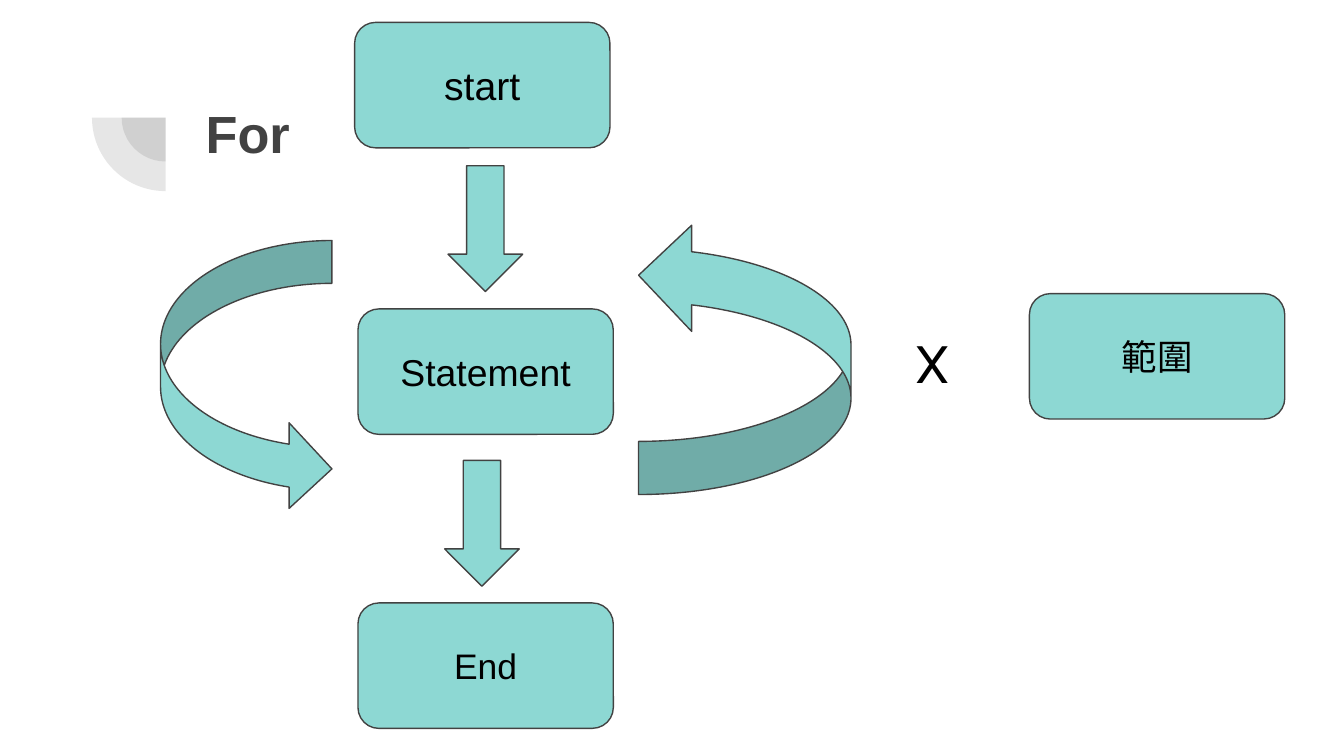
from pptx import Presentation, util as u
from pptx.dml.color import RGBColor
from pptx.enum import shapes, text
from pptx.oxml.ns import qn
from lxml import etree

TEAL = RGBColor(0x8D, 0xD8, 0xD3)
GRAY = RGBColor(0x42, 0x42, 0x42)
BLACK = RGBColor(0, 0, 0)
Pt = u.Pt
KIND = shapes.MSO_SHAPE

TITLE = ("For", (103, 46.8, 553.7, 78.5))
TIMES = ("x", (483.8, 162, 59, 58.3))
BOX_SIZE = (136.8, 67.2)
BOXES = [
    ("start", 190, 12, 21),
    ("範圍", 551.5, 157.3, 19),
    ("Statement", 191.8, 165.5, 20),
    ("End", 191.8, 323, 19),
]
DOWN_SIZE = (40, 67.4)
DOWN_ARROWS = [(238.2, 246.7), (240, 88.8)]
LOOPS = [
    ((86, 128.9, 91.8, 145.3), 0),
    ((342.1, 119, 113.8, 145.9), 180),
]
PIE_CENTER = (88.7, 63)
PIE_SIZES = [47, 78.8]


def add_shape(s, kind, box, fill=TEAL, line=GRAY):
    sp = s.shapes.add_shape(kind, *map(Pt, box))
    sp.shadow.inherit = False
    sp.fill.solid()
    sp.fill.fore_color.rgb = fill
    if line is None:
        sp.line.fill.background()
    else:
        sp.line.color.rgb = line
        sp.line.width = Pt(0.75)
    return sp


def write(sp, content, size, color=BLACK, font="Arial", bold=False,
          align=text.PP_ALIGN.LEFT, anchor=text.MSO_ANCHOR.TOP):
    tf = sp.text_frame
    tf.word_wrap = True
    tf.auto_size = text.MSO_AUTO_SIZE.NONE
    tf.vertical_anchor = anchor
    tf.margin_left = tf.margin_right = tf.margin_top = tf.margin_bottom = Pt(7.2)
    p = tf.paragraphs[0]
    p.alignment = align
    r = p.add_run()
    r.text = content
    r.font.size = Pt(size)
    r.font.name = font
    r.font.bold = bold
    r.font.color.rgb = color


prs = Presentation()
prs.slide_width, prs.slide_height = Pt(720), Pt(405)
s = prs.slides.add_slide(prs.slide_layouts[5])

for size in PIE_SIZES:
    x, y = (c - size / 2 for c in PIE_CENTER)
    sp = add_shape(s, KIND.PIE, (x, y, size, size), GRAY, None)
    sp.rotation = 270
    sp.adjustments[0], sp.adjustments[1] = 108, 162
    clr = sp.fill._xPr.find(qn("a:solidFill"))[0]
    etree.SubElement(clr, qn("a:alpha")).set("val", "13000")

content, box = TITLE
sp = s.shapes.title
sp.left, sp.top, sp.width, sp.height = map(Pt, box)
write(sp, content, 28, color=GRAY, bold=True)

for content, x, y, size in BOXES:
    sp = add_shape(s, KIND.ROUNDED_RECTANGLE, (x, y, *BOX_SIZE))
    write(sp, content, size, align=text.PP_ALIGN.CENTER,
          anchor=text.MSO_ANCHOR.MIDDLE)

for box, angle in LOOPS:
    sp = add_shape(s, KIND.CURVED_RIGHT_ARROW, box)
    sp.rotation = angle

content, box = TIMES
write(s.shapes.add_textbox(*map(Pt, box)), content, 36,
      font="TeX Gyre Adventor")

for x, y in DOWN_ARROWS:
    add_shape(s, KIND.DOWN_ARROW, (x, y, *DOWN_SIZE))

prs.save("out.pptx")
